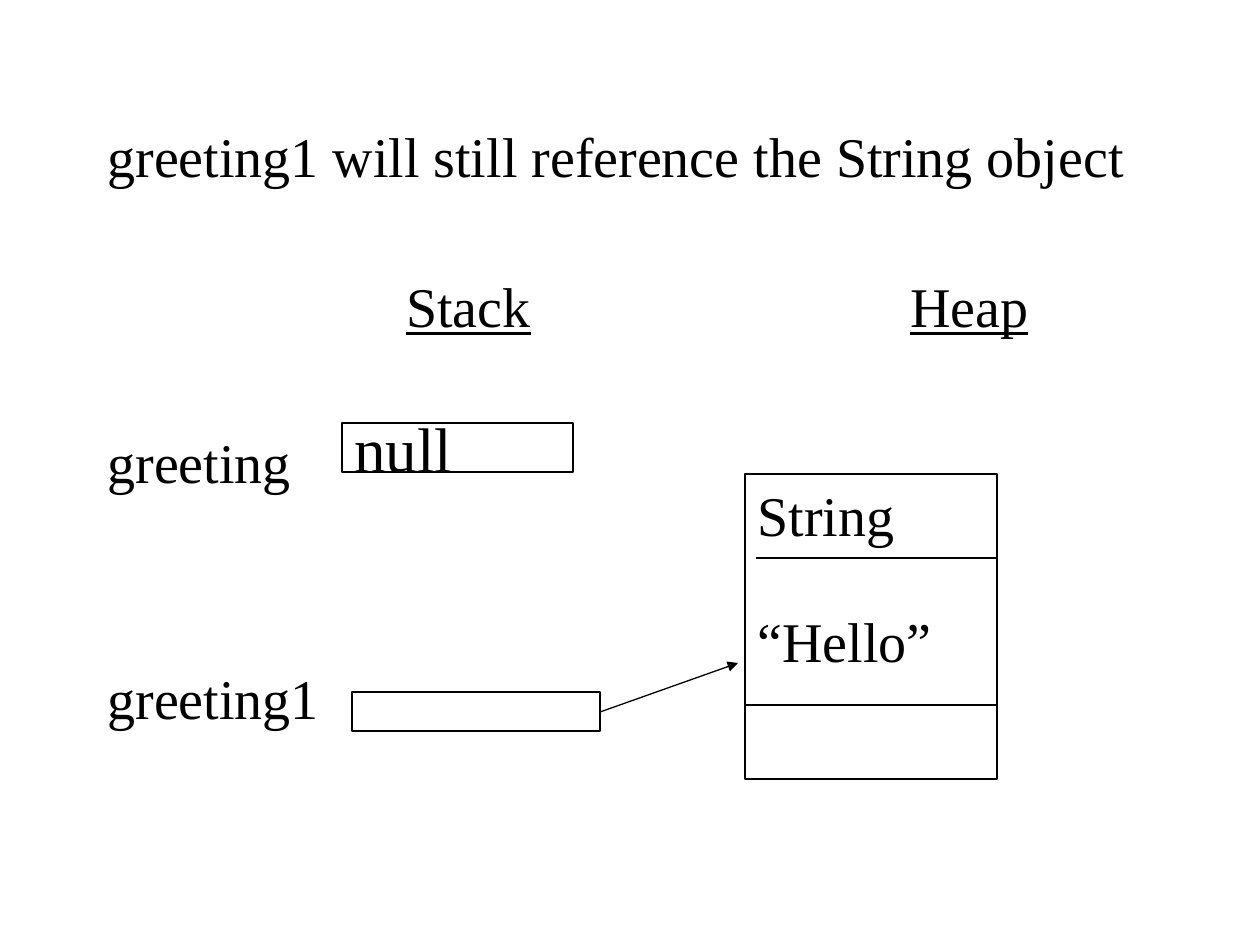
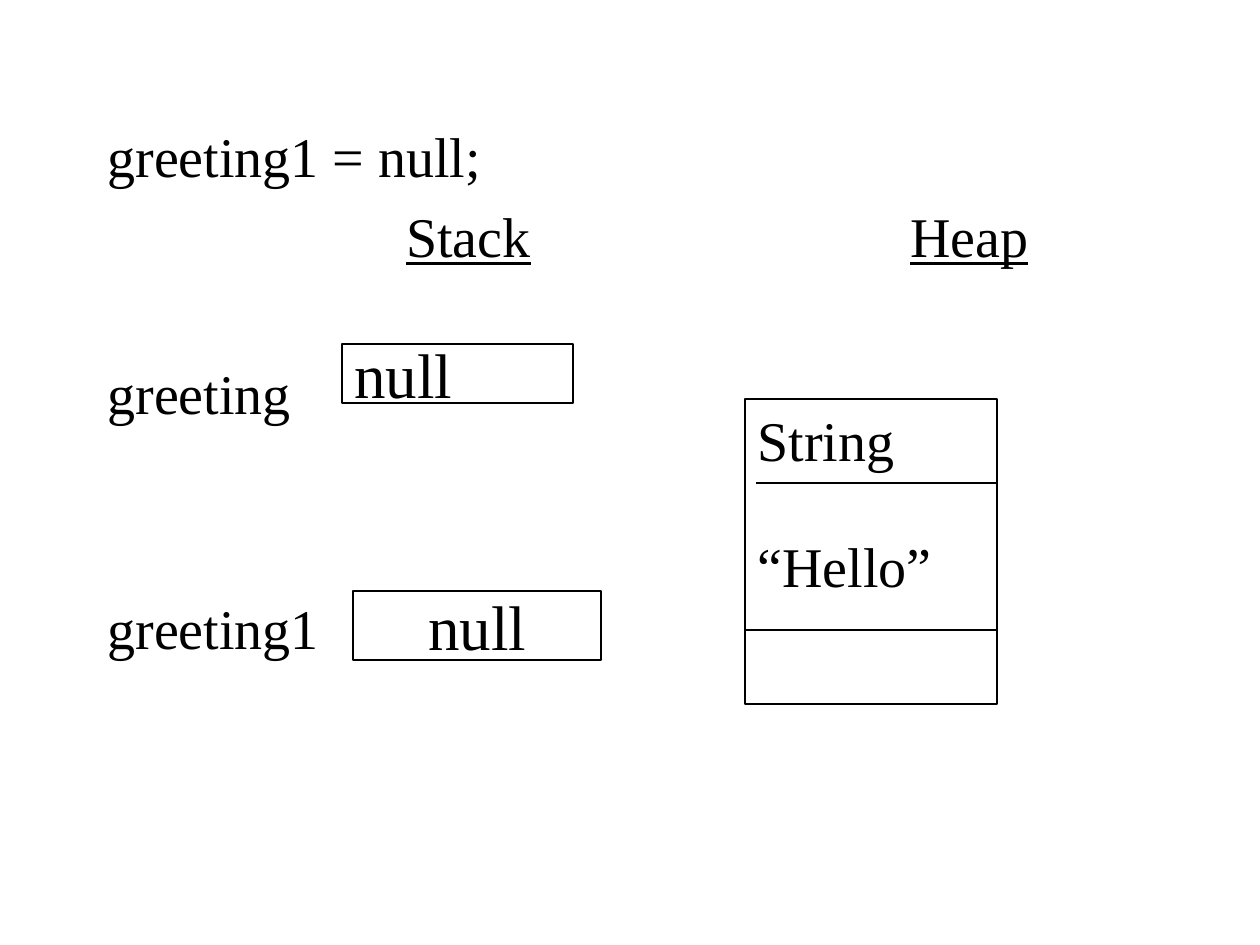
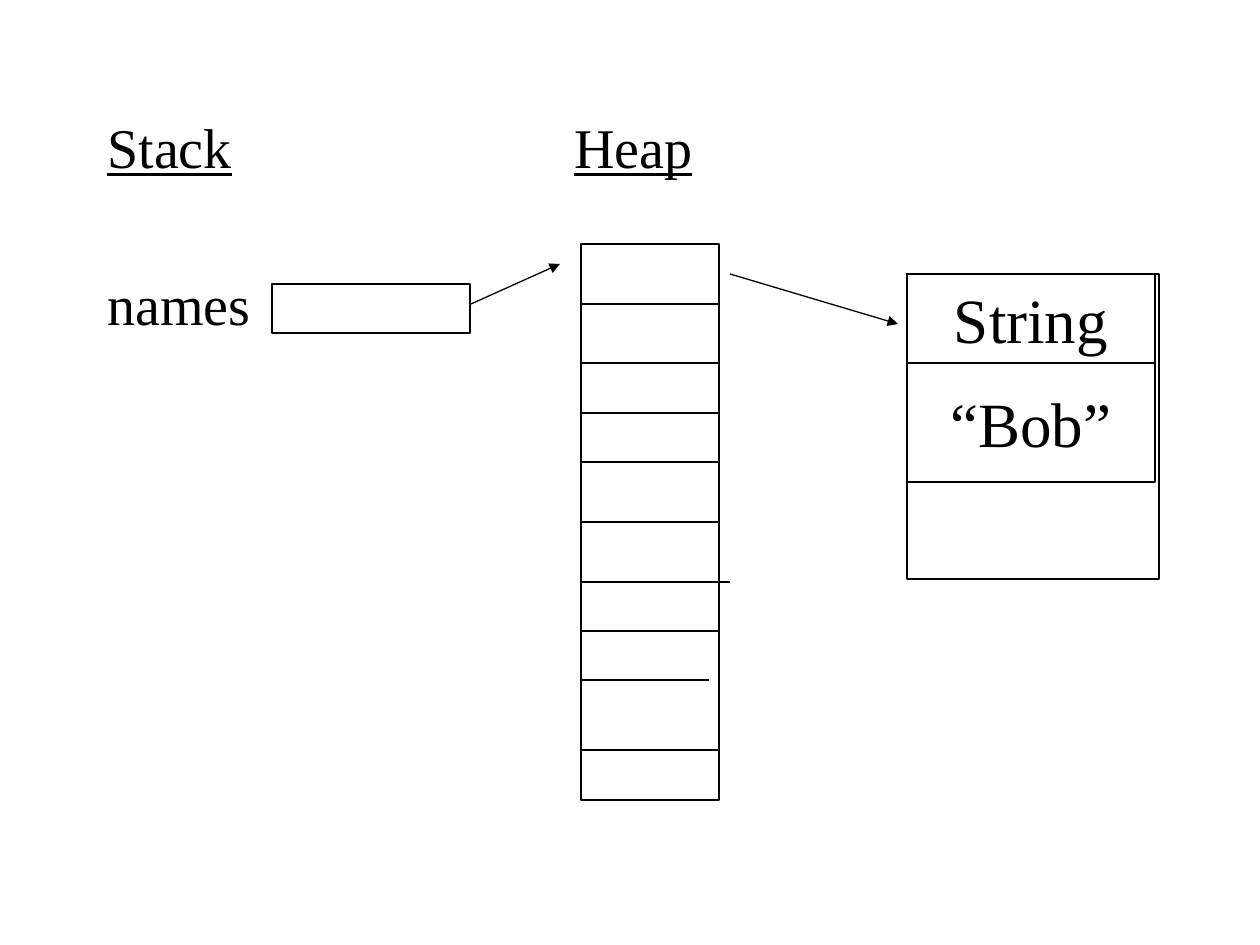
"""Build three slides that show Java references on the stack and the heap."""
from pptx import Presentation
from pptx.dml.color import RGBColor
from pptx.enum.shapes import MSO_CONNECTOR, MSO_SHAPE
from pptx.enum.text import MSO_ANCHOR, PP_ALIGN
from pptx.oxml.ns import qn
from pptx.util import Emu, Pt
from lxml.etree import SubElement

SCALE = 914400 / 126
SLIDE_WIDTH, SLIDE_HEIGHT = 1260, 945
FONT, INK = "Times New Roman", "000000"
BODY_SIZE, VALUE_SIZE, LINE_WIDTH = 32, 36, 0.75
LINE_HEIGHT, PARAGRAPH_GAP = 1.2 * BODY_SIZE, 0.2 * BODY_SIZE
LEFT, WIDTH = 95, 1071
TITLE_TOP, TITLE_HEIGHT = 115, 724
OBJECT_LEFT, OBJECT_WIDTH, OBJECT_HEIGHT = 745, 252, 305

REFERENCE_SLIDES = [
    {
        "title": "greeting1 will still reference the String object",
        "memory_top": 265,
        "object_top": 474,
        "variables": [((342, 423, 231, 49), "null", PP_ALIGN.LEFT),
                      ((352, 692, 248, 39), "", PP_ALIGN.LEFT)],
        "arrows": [((600, 712), (738, 663))],
    },
    {
        "title": "greeting1 = null;",
        "memory_top": 195,
        "object_top": 399,
        "variables": [((342, 344, 231, 59), "null", PP_ALIGN.LEFT),
                      ((353, 591, 248, 69), "null", PP_ALIGN.CENTER)],
        "arrows": [],
    },
]
REFERENCE_HEADINGS = [("Stack", 299), ("Heap", 803)]
REFERENCE_NAMES = [("greeting", 2), ("greeting1", 3)]
OBJECT_TEXTS = [("String", 0, 231), ("“Hello”", 126, 273)]
OBJECT_RULES = [(84, 11), (231, 0)]

ARRAY_HEADINGS = [("Stack", 0), ("Heap", 467)]
ARRAY_NAMES = [("names", 2)]
ARRAY_LEFT, ARRAY_RIGHT, ARRAY_TOP, ARRAY_BOTTOM = 581, 719, 244, 800
ARRAY_RULES = [244, 304, 363, 413, 462, 522, 582, 631, 680, 750]
UNEVEN_ENDS = {244: 709, 582: 730, 680: 709}
ARRAY_BOXES = [
    ((272, 284, 198, 49), ""),
    ((ARRAY_LEFT, ARRAY_TOP, ARRAY_RIGHT - ARRAY_LEFT, ARRAY_BOTTOM - ARRAY_TOP), ""),
    ((907, 274, OBJECT_WIDTH, OBJECT_HEIGHT), ""),
    ((907, 274, 248, 89), "String"),
    ((907, 363, 248, 119), "“Bob”"),
]
ARRAY_ARROWS = [((471, 304), (560, 264)), ((730, 274), (898, 324))]


def pixels(*values):
    """Turn pixels into EMU."""
    return [Emu(round(value * SCALE)) for value in values]


def color(value):
    """Turn a hex string into a colour."""
    return RGBColor.from_string(value)


def format_runs(paragraph, size):
    """Give every run the shared font."""
    for run in paragraph.runs:
        run.font.name = FONT
        run.font.size = Pt(size)
        run.font.color.rgb = color(INK)


def add_text(slide, place, text):
    """Add a wrapping text box and return its first paragraph."""
    frame = slide.shapes.add_textbox(*pixels(*place)).text_frame
    frame.word_wrap = True
    paragraph = frame.paragraphs[0]
    paragraph.text = text
    format_runs(paragraph, BODY_SIZE)
    return paragraph


def add_memory(slide, top, headings, names):
    """Add the underlined headings at tab stops and the variable names below."""
    place = (LEFT, top, WIDTH, SLIDE_HEIGHT - top)
    frame = slide.shapes.add_textbox(*pixels(*place)).text_frame
    frame.word_wrap = True
    heading = frame.paragraphs[0]
    tab_list = SubElement(heading._p.get_or_add_pPr(), qn("a:tabLst"))
    for text, position in headings:
        if position:
            SubElement(tab_list, qn("a:tab"), pos=str(pixels(position)[0]), algn="l")
            heading.add_run().text = "\t"
        run = heading.add_run()
        run.text = text
        run.font.underline = True
    format_runs(heading, BODY_SIZE)
    for text, rows in names:
        paragraph = frame.add_paragraph()
        paragraph.text = text
        paragraph.space_before = Pt((rows - 1) * LINE_HEIGHT + rows * PARAGRAPH_GAP)
        format_runs(paragraph, BODY_SIZE)


def add_box(slide, place, text="", alignment=PP_ALIGN.CENTER):
    """Add an outlined rectangle with an optional value."""
    shape = slide.shapes.add_shape(MSO_SHAPE.RECTANGLE, *pixels(*place))
    shape.shadow.inherit = False
    shape.fill.background()
    shape.line.color.rgb = color(INK)
    shape.line.width = Pt(LINE_WIDTH)
    if text:
        frame = shape.text_frame
        frame.text = text
        frame.word_wrap = False
        frame.vertical_anchor = MSO_ANCHOR.MIDDLE
        frame.paragraphs[0].alignment = alignment
        format_runs(frame.paragraphs[0], VALUE_SIZE)


def add_line(slide, start, end, arrow=False):
    """Add a straight line, with an arrowhead at its end if asked."""
    connector = slide.shapes.add_connector(MSO_CONNECTOR.STRAIGHT, *pixels(*start, *end))
    connector.line.color.rgb = color(INK)
    connector.line.width = Pt(LINE_WIDTH)
    if arrow:
        SubElement(connector.line._get_or_add_ln(), qn("a:tailEnd"), type="triangle")
    SubElement(connector._element.spPr, qn("a:effectLst"))


def add_string_object(slide, top):
    """Add the String object on the heap."""
    right = OBJECT_LEFT + OBJECT_WIDTH
    for text, offset, width in OBJECT_TEXTS:
        add_text(slide, (OBJECT_LEFT, top + offset, width, 79), text)
    add_box(slide, (OBJECT_LEFT, top, OBJECT_WIDTH, OBJECT_HEIGHT))
    for offset, inset in OBJECT_RULES:
        add_line(slide, (OBJECT_LEFT + inset, top + offset), (right, top + offset))


def add_reference_slide(slide, content):
    """Fill a slide with two variables and a String object."""
    add_text(slide, (LEFT, TITLE_TOP, WIDTH, TITLE_HEIGHT), content["title"])
    add_memory(slide, content["memory_top"], REFERENCE_HEADINGS, REFERENCE_NAMES)
    add_string_object(slide, content["object_top"])
    for place, text, alignment in content["variables"]:
        add_box(slide, place, text, alignment)
    for start, end in content["arrows"]:
        add_line(slide, start, end, arrow=True)


def add_array_slide(slide):
    """Fill a slide with an array of references."""
    add_memory(slide, 106, ARRAY_HEADINGS, ARRAY_NAMES)
    for place, text in ARRAY_BOXES:
        add_box(slide, place, text)
    for y in ARRAY_RULES:
        add_line(slide, (ARRAY_LEFT, y), (UNEVEN_ENDS.get(y, ARRAY_RIGHT), y))
    for start, end in ARRAY_ARROWS:
        add_line(slide, start, end, arrow=True)


presentation = Presentation()
presentation.slide_width, presentation.slide_height = pixels(SLIDE_WIDTH, SLIDE_HEIGHT)
blank_layout = presentation.slide_layouts[6]
for content in REFERENCE_SLIDES:
    add_reference_slide(presentation.slides.add_slide(blank_layout), content)
add_array_slide(presentation.slides.add_slide(blank_layout))
presentation.save("out.pptx")
